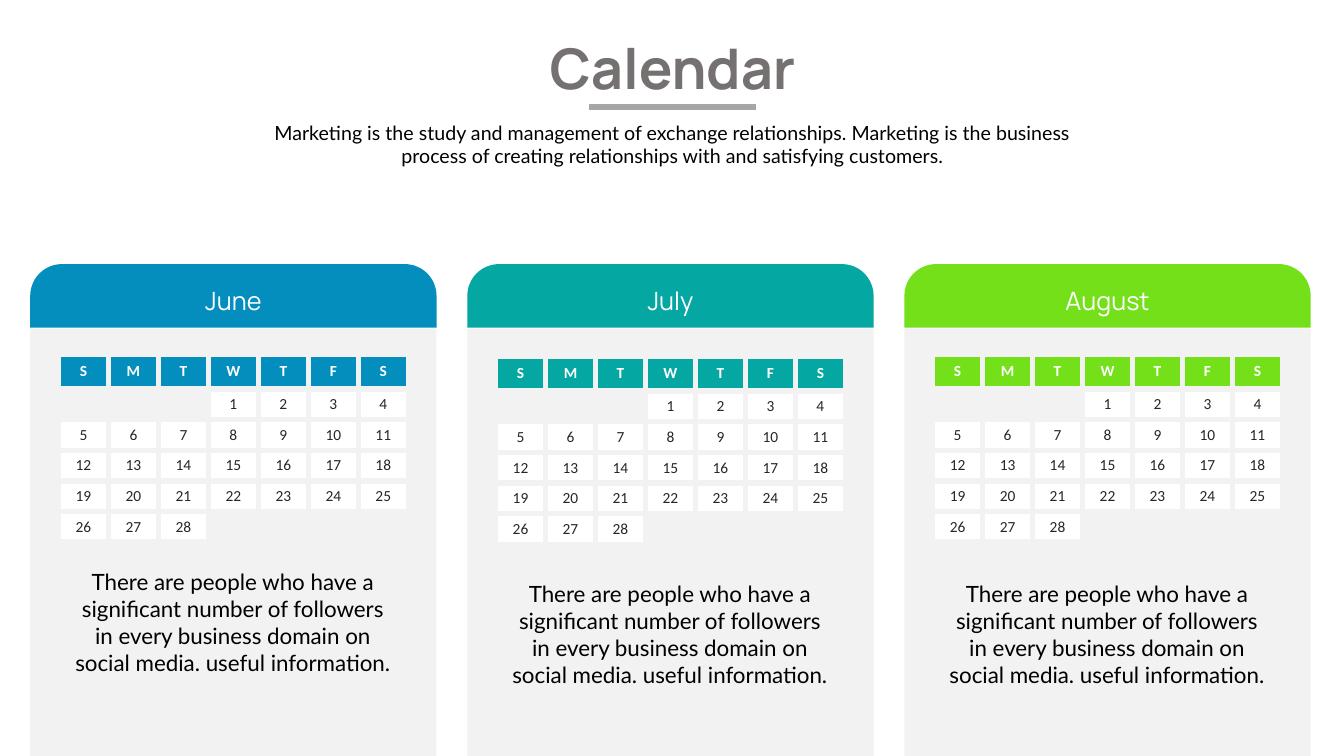
"""Build a calendar slide with three month cards."""
from lxml.etree import SubElement
from pptx import Presentation
from pptx.dml.color import RGBColor
from pptx.enum.shapes import MSO_CONNECTOR as LINE, MSO_SHAPE as SHAPE
from pptx.enum.text import MSO_ANCHOR as ANCHOR, PP_ALIGN as ALIGN
from pptx.oxml.ns import qn
from pptx.util import Inches, Pt

TITLE = "Calendar"
INTRO = ("Marketing is the study and management of exchange relationships. "
         "Marketing is the business process of creating relationships with "
         "and satisfying customers.")
NOTE = ("There are people who have a significant number of followers in "
        "every business domain on social media. useful information.")
DAYS = "SMTWTFS"
START, LAST, WEEKS = 3, 28, 5
MONTHS = [
    ("June", "048EBD", 3.51, 5.59),
    ("July", "04A7A2", 3.53, 5.71),
    ("August", "73E019", 3.51, 5.71),
]
GREY, WHITE, BLACK, INK = "F2F2F2", "FFFFFF", "000000", "262626"
LEFT, STEP, WIDTH = 0.3, 4.335, 4.03
GRID_W, GRID_H, HEAD_H = 3.47, 1.87, 0.35


def color(code):
    return RGBColor.from_string(code)


def write(frame, text, size, face, code, bold=False):
    frame.text = text
    para = frame.paragraphs[0]
    para.alignment = ALIGN.CENTER
    font = para.font
    font.size, font.name, font.bold = Pt(size), face, bold
    font.color.rgb = color(code)


def label(slide, box, text, size, face, code, bold=False, wrap=True):
    frame = slide.shapes.add_textbox(*map(Inches, box)).text_frame
    frame.word_wrap = wrap
    write(frame, text, size, face, code, bold)


def block(slide, kind, box, code):
    shape = slide.shapes.add_shape(kind, *map(Inches, box))
    shape.shadow.inherit = False
    shape.fill.solid()
    shape.fill.fore_color.rgb = color(code)
    shape.line.fill.background()
    return shape


def edge(cell, code, width):
    props = cell._tc.get_or_add_tcPr()
    for pos, side in enumerate(("lnL", "lnR", "lnT", "lnB")):
        line = props.makeelement(qn(f"a:{side}"), {"w": str(Pt(width))})
        fill = SubElement(line, qn("a:solidFill"))
        SubElement(fill, qn("a:srgbClr"), val=code)
        props.insert(pos, line)


def grid(slide, left, top, code):
    box = map(Inches, (left, top, GRID_W, GRID_H))
    table = slide.shapes.add_table(WEEKS + 1, len(DAYS), *box).table
    table.first_row = table.horz_banding = False
    for col in table.columns:
        col.width = Inches(GRID_W / len(DAYS))
    for r, row in enumerate(table.rows):
        row.height = Inches((GRID_H - HEAD_H) / WEEKS if r else HEAD_H)
        for c, cell in enumerate(row.cells):
            day = (r - 1) * len(DAYS) + c - START + 1
            if r == 0:
                text, fill, ink = DAYS[c], code, WHITE
            elif 1 <= day <= LAST:
                text, fill, ink = str(day), WHITE, INK
            else:
                text, fill, ink = "", GREY, INK
            cell.margin_left = cell.margin_right = 0
            cell.margin_top = cell.margin_bottom = 0
            cell.vertical_anchor = ANCHOR.MIDDLE
            write(cell.text_frame, text, 11, "Calibri", ink, r == 0)
            cell.fill.solid()
            cell.fill.fore_color.rgb = color(fill)
            edge(cell, GREY, 4.5)


def card(slide, left, name, code, top, low):
    block(slide, SHAPE.RECTANGLE, (left, 3.26, WIDTH, 4.24), GREY)
    label(slide, (left + 0.33, low, 3.36, 1.18), NOTE, 16, "Lato", BLACK)
    head = block(slide, SHAPE.ROUND_2_SAME_RECTANGLE,
                 (left, 2.62, WIDTH, 0.63), code)
    head.adjustments[0] = 0.5
    head.text_frame.vertical_anchor = ANCHOR.MIDDLE
    write(head.text_frame, name, 18, "Manrope", WHITE)
    grid(slide, left + 0.28, top, code)


def main():
    deck = Presentation()
    deck.slide_width, deck.slide_height = Inches(13.33), Inches(7.5)
    slide = deck.slides.add_slide(deck.slide_layouts[6])
    label(slide, (5.22, 0.28, 2.9, 0.77), TITLE, 40, "Manrope", "767171",
          bold=True, wrap=False)
    label(slide, (2.37, 1.15, 8.6, 0.57), INTRO, 14, "Lato", BLACK)
    rule = slide.shapes.add_connector(
        LINE.STRAIGHT, *map(Inches, (5.84, 1.06, 7.5, 1.06)))
    rule.line.color.rgb = color("A6A6A6")
    rule.line.width = Pt(4.25)
    SubElement(rule._element.spPr, qn("a:effectLst"))
    for i, month in enumerate(MONTHS):
        card(slide, LEFT + i * STEP, *month)
    deck.save("out.pptx")


if __name__ == "__main__":
    main()
